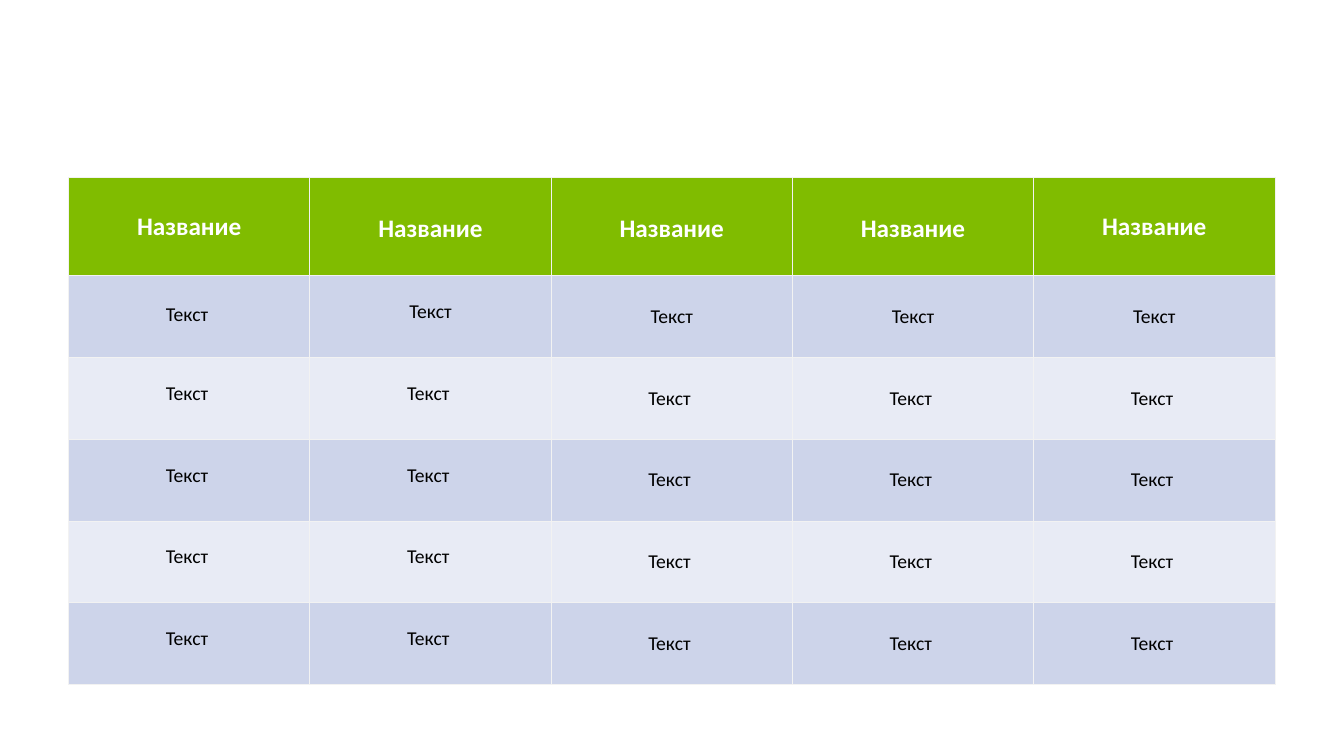
from lxml.etree import SubElement
from pptx import Presentation
from pptx.dml.color import RGBColor
from pptx.enum.text import MSO_ANCHOR, PP_ALIGN
from pptx.oxml.ns import qn
from pptx.util import Cm, Pt

GREEN = RGBColor(0x80, 0xBC, 0x00)
BLUE = RGBColor(0xCD, 0xD4, 0xEA)
PALE_BLUE = RGBColor(0xE8, 0xEB, 0xF5)
GRID_GREY = RGBColor(0xF2, 0xF2, 0xF2)
WHITE = RGBColor(0xFF, 0xFF, 0xFF)
BLACK = RGBColor(0x00, 0x00, 0x00)

COLUMN_WIDTH = 6.08
ROW_HEIGHTS = [2.47] + [2.06] * 5
HEADER_TOPS = [0.86, 0.91, 0.91, 0.91, 0.86]
FIRST_ROW_TOPS = [0.68, 0.61, 0.73, 0.73, 0.73]
BODY_TOPS = [0.61, 0.61, 0.73, 0.73, 0.73]
HEADER_FONT = {"name": "Calibri", "size": Pt(18), "bold": True}
BODY_FONT = {"name": "Calibri", "size": Pt(14), "bold": False}

ROWS = [
    ["Название"] * 5,
    ["Текст "] + ["Текст"] * 4,
] + [["Текст "] * 5] * 4
TOPS = [HEADER_TOPS, FIRST_ROW_TOPS] + [BODY_TOPS] * 4


def set_borders(cell):
    properties = cell._tc.get_or_add_tcPr()
    for side in ("a:lnL", "a:lnR", "a:lnT", "a:lnB"):
        line = SubElement(properties, qn(side), w=str(Pt(0.75)))
        fill = SubElement(line, qn("a:solidFill"))
        SubElement(fill, qn("a:srgbClr"), val=str(GRID_GREY))


def fill_cell(cell, text, top, fill_color, font_format, font_color):
    set_borders(cell)
    cell.fill.solid()
    cell.fill.fore_color.rgb = fill_color
    cell.vertical_anchor = MSO_ANCHOR.TOP
    cell.margin_top = Cm(top)
    paragraph = cell.text_frame.paragraphs[0]
    paragraph.alignment = PP_ALIGN.CENTER
    run = paragraph.add_run()
    run.text = text
    for name, value in font_format.items():
        setattr(run.font, name, value)
    run.font.color.rgb = font_color


def add_text_table(slide):
    shape = slide.shapes.add_table(
        len(ROWS), len(ROWS[0]), Cm(1.73), Cm(4.48),
        Cm(COLUMN_WIDTH * len(ROWS[0])), Cm(sum(ROW_HEIGHTS)))
    table = shape.table
    for column in table.columns:
        column.width = Cm(COLUMN_WIDTH)
    for index, (texts, tops) in enumerate(zip(ROWS, TOPS)):
        table.rows[index].height = Cm(ROW_HEIGHTS[index])
        if index == 0:
            style = (GREEN, HEADER_FONT, WHITE)
        else:
            style = (BLUE if index % 2 else PALE_BLUE, BODY_FONT, BLACK)
        for cell, text, top in zip(table.rows[index].cells, texts, tops):
            fill_cell(cell, text, top, *style)


def main():
    """Build a slide with one table of five titled columns."""
    presentation = Presentation()
    presentation.slide_width = Cm(33.87)
    presentation.slide_height = Cm(19.05)
    slide = presentation.slides.add_slide(presentation.slide_layouts[6])
    add_text_table(slide)
    presentation.save("out.pptx")


if __name__ == "__main__":
    main()
